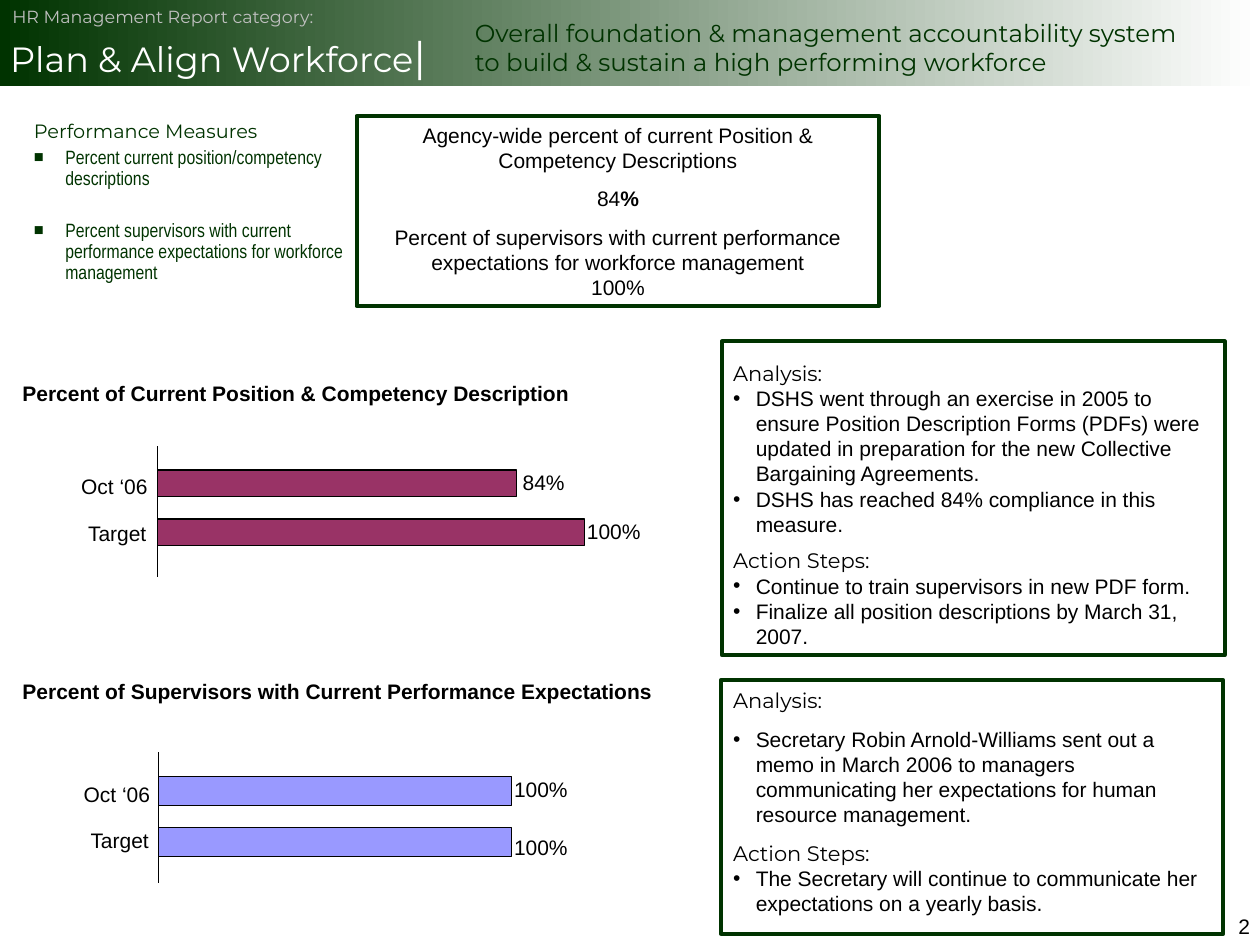
from dataclasses import dataclass

from lxml.etree import SubElement
from pptx import Presentation
from pptx.dml.color import RGBColor
from pptx.enum.shapes import MSO_CONNECTOR, MSO_SHAPE
from pptx.enum.text import MSO_ANCHOR as Anchor, PP_ALIGN as Align
from pptx.oxml.ns import qn
from pptx.util import Inches, Pt

COLORS = {"green": "003300", "white": "FFFFFF", "silver": "C0C0C0",
          "black": "000000", "plum": "993366", "lilac": "9999FF"}

# Font name, size and colour of each kind of text
FORMATS = {
    "body": {"name": "Arial", "size": Pt(12), "color": "black", "bold": False},
    "bold": {"name": "Arial", "size": Pt(12), "color": "black", "bold": True},
    "heading": {"name": "Montserrat", "size": Pt(12), "color": "black"},
    "measure_heading": {"name": "Montserrat", "size": Pt(11), "color": "green"},
    "measure": {"name": "Arial Narrow", "size": Pt(11), "color": "green"},
    "banner": {"name": "Montserrat", "size": Pt(20), "color": "white"},
    "banner_bar": {"name": "Montserrat", "size": Pt(24), "color": "white"},
    "category": {"name": "Montserrat", "size": Pt(10), "color": "silver"},
    "title": {"name": "Montserrat", "size": Pt(14), "color": "green"},
}
MARGINS = (0.1, 0.05)


@dataclass
class Para:
    runs: list[tuple[str, str]]  # text, format
    before: float = 0
    align: Align = Align.LEFT
    spacing: float = 1.0
    indent: float = 0
    bullet: str = ""
    bullet_color: str = "black"
    bullet_size: int = 100


@dataclass
class Bar:
    label: str
    label_at: tuple[float, float, float]  # left, top, width
    top: float
    width: float
    value: str
    value_at: tuple[float, float]


@dataclass
class BarChart:
    title: str
    title_top: float
    title_width: float
    axis: tuple[float, float, float]  # x, top, bottom
    bar_height: float
    color: str
    line_width: float
    value_margins: tuple[float, float]
    bars: list[Bar]


def rgb(name: str) -> RGBColor:
    return RGBColor.from_string(COLORS[name])


def write(sp, paras: list[Para], margins=MARGINS, anchor=Anchor.TOP, wrap=True) -> None:
    tf = sp.text_frame
    x, y = (Inches(m) for m in margins)
    frame = {"word_wrap": wrap, "vertical_anchor": anchor, "margin_left": x,
             "margin_right": x, "margin_top": y, "margin_bottom": y}
    for key, value in frame.items():
        setattr(tf, key, value)
    for i, para in enumerate(paras):
        p = tf.paragraphs[0] if i == 0 else tf.add_paragraph()
        pPr = p._p.get_or_add_pPr()
        if para.bullet:
            pPr.set("marL", str(Inches(para.indent)))
            pPr.set("indent", str(-Inches(para.indent)))
            color = SubElement(pPr, qn("a:buClr"))
            SubElement(color, qn("a:srgbClr"), val=COLORS[para.bullet_color])
            SubElement(pPr, qn("a:buSzPct"), val=str(para.bullet_size * 1000))
            SubElement(pPr, qn("a:buFont"), typeface="Arial")
            SubElement(pPr, qn("a:buChar"), char=para.bullet)
        p.alignment = para.align
        p.line_spacing = para.spacing
        p.space_before = Pt(para.before)
        for text, fmt in para.runs:
            r = p.add_run()
            # A vertical tab marks a line break
            first, *rest = text.split("\v")
            r.text = first
            runs = [r]
            for line in rest:
                p.add_line_break()
                r = p.add_run()
                r.text = line
                runs.append(r)
            for r in runs:
                for key, value in FORMATS[fmt].items():
                    if key == "color":
                        r.font.color.rgb = rgb(value)
                    else:
                        setattr(r.font, key, value)


def add_text(s, at: tuple, paras: list[Para], **frame):
    sp = s.shapes.add_textbox(*(Inches(v) for v in at))
    write(sp, paras, **frame)
    return sp


def add_rect(s, at: tuple, fill: str = "", line: str = "", width: float = 0):
    sp = s.shapes.add_shape(MSO_SHAPE.RECTANGLE, *(Inches(v) for v in at))
    sp.shadow.inherit = False
    if fill:
        sp.fill.solid()
        sp.fill.fore_color.rgb = rgb(fill)
    else:
        sp.fill.background()
    if line:
        sp.line.color.rgb = rgb(line)
        sp.line.width = Pt(width)
    else:
        sp.line.fill.background()
    return sp


def add_bar_chart(s, chart: BarChart) -> None:
    add_text(s, (0.08, chart.title_top, chart.title_width, 0.3),
             [Para([(chart.title, "bold")])])
    x, top, bottom = chart.axis
    for bar in chart.bars:
        add_rect(s, (x, bar.top, bar.width, chart.bar_height),
                 chart.color, "black", chart.line_width)
        add_text(s, (*bar.label_at, 0.3), [Para([(bar.label, "body")], align=Align.RIGHT)])
        add_text(s, (*bar.value_at, 0.7, 0.3), [Para([(bar.value, "body")])],
                 margins=chart.value_margins, wrap=False)
    axis = s.shapes.add_connector(MSO_CONNECTOR.STRAIGHT, Inches(x), Inches(top),
                                  Inches(x), Inches(bottom))
    axis.line.color.rgb = rgb("black")
    axis.line.width = Pt(0.75)
    SubElement(axis._element.spPr, qn("a:effectLst"))


def add_notes_block(s, top: float, height: float, heading: str,
                    points: list[str], before: float = 0) -> None:
    paras = [Para([(heading, "heading")])]
    paras += [Para([(text, "body")], before, indent=0.18, bullet="•") for text in points]
    add_text(s, (5.72, top, 3.93, height), paras)


def measure(text: str, before: float) -> Para:
    return Para([(text, "measure")], before, spacing=0.9, indent=0.25,
                bullet="■", bullet_color="green", bullet_size=85)


CHARTS = [
    BarChart("Percent of Current Position & Competency Description", 2.97, 5.06,
             (1.25, 3.54, 4.58), 0.21, "plum", 0.88, MARGINS,
             [Bar("Oct ‘06", (0.27, 3.71, 1), 3.73, 2.85, "84%", (4.05, 3.68)),
              Bar("Target", (0.34, 4.08, 0.92), 4.12, 3.39, "100%", (4.56, 4.07))]),
    BarChart("Percent of Supervisors with Current Performance Expectations", 5.34, 5.95,
             (1.26, 5.97, 7.01), 0.23, "lilac", 0.5, (0, 0),
             [Bar("Oct ‘06", (0.29, 6.15, 1), 6.16, 2.8, "100%", (4.08, 6.16)),
              Bar("Target", (0.36, 6.52, 0.92), 6.57, 2.8, "100%", (4.08, 6.62))]),
]


def main() -> None:
    prs = Presentation()
    prs.slide_width, prs.slide_height = Inches(10), Inches(7.5)
    s = prs.slides.add_slide(prs.slide_layouts[6])

    # Banner
    banner = add_rect(s, (0, 0, 10, 0.68))
    banner.fill.gradient()
    banner.fill.gradient_angle = 0
    for stop, color, position in zip(banner.fill.gradient_stops, ("green", "white"), (0, 1)):
        stop.color.rgb = rgb(color)
        stop.position = position
    write(banner, [Para([("Plan & Align Workforce", "banner"), ("|", "banner_bar")],
                        spacing=1.5)], margins=(0.08, 0.04))
    add_text(s, (0, 0, 3, 0.27), [Para([("HR Management Report category:", "category")])])
    add_text(s, (3.67, -0.25, 6.58, 1.25),
             [Para([("Overall foundation & management accountability system\v"
                     "to build & sustain a high performing workforce", "title")])],
             anchor=Anchor.MIDDLE)

    # Performance measures
    add_text(s, (0.17, 0.92, 2.75, 1.5), [
        Para([("Performance Measures", "measure_heading")], spacing=0.9),
        measure("Percent current position/competency descriptions", 2.8),
        measure("Percent supervisors with current performance expectations "
                "for workforce management", 18)])

    # Agency-wide results
    results = [([("Agency-wide percent of current Position & Competency Descriptions", "body")], 0),
               ([("84", "body"), ("%", "bold")], 7.5),
               ([("Percent of supervisors with current performance expectations "
                  "for workforce management", "body")], 7.5),
               ([("100%", "body")], 0)]
    write(add_rect(s, (2.83, 0.92, 4.15, 1.51), line="green", width=2.25),
          [Para(runs, before, Align.CENTER) for runs, before in results])

    # Analysis and action steps
    for at in ((5.73, 2.71, 3.99, 2.49), (5.72, 5.4, 3.99, 2.01)):
        add_rect(s, at, line="green", width=2.25)
    add_notes_block(s, 2.81, 1.5, "Analysis:", [
        "DSHS went through an exercise in 2005 to ensure Position Description Forms (PDFs) "
        "were updated in preparation for the new Collective Bargaining Agreements.",
        "DSHS has reached 84% compliance in this measure."])
    add_notes_block(s, 4.3, 0.9, "Action Steps:", [
        "Continue to train supervisors in new PDF form.",
        "Finalize all position descriptions by March 31, 2007."])
    add_notes_block(s, 5.41, 1.21, "Analysis:", [
        "Secretary Robin Arnold-Williams sent out a memo in March 2006 to managers "
        "communicating her expectations for human resource management."], before=7.5)
    add_notes_block(s, 6.62, 0.7, "Action Steps:", [
        "The Secretary will continue to communicate her expectations on a yearly basis."])

    # Bar charts
    for chart in CHARTS:
        add_bar_chart(s, chart)

    # Page number
    add_text(s, (7.69, 7.2, 2.33, 0.52), [Para([("2", "body")], align=Align.RIGHT)])
    prs.save("out.pptx")


if __name__ == "__main__":
    main()
